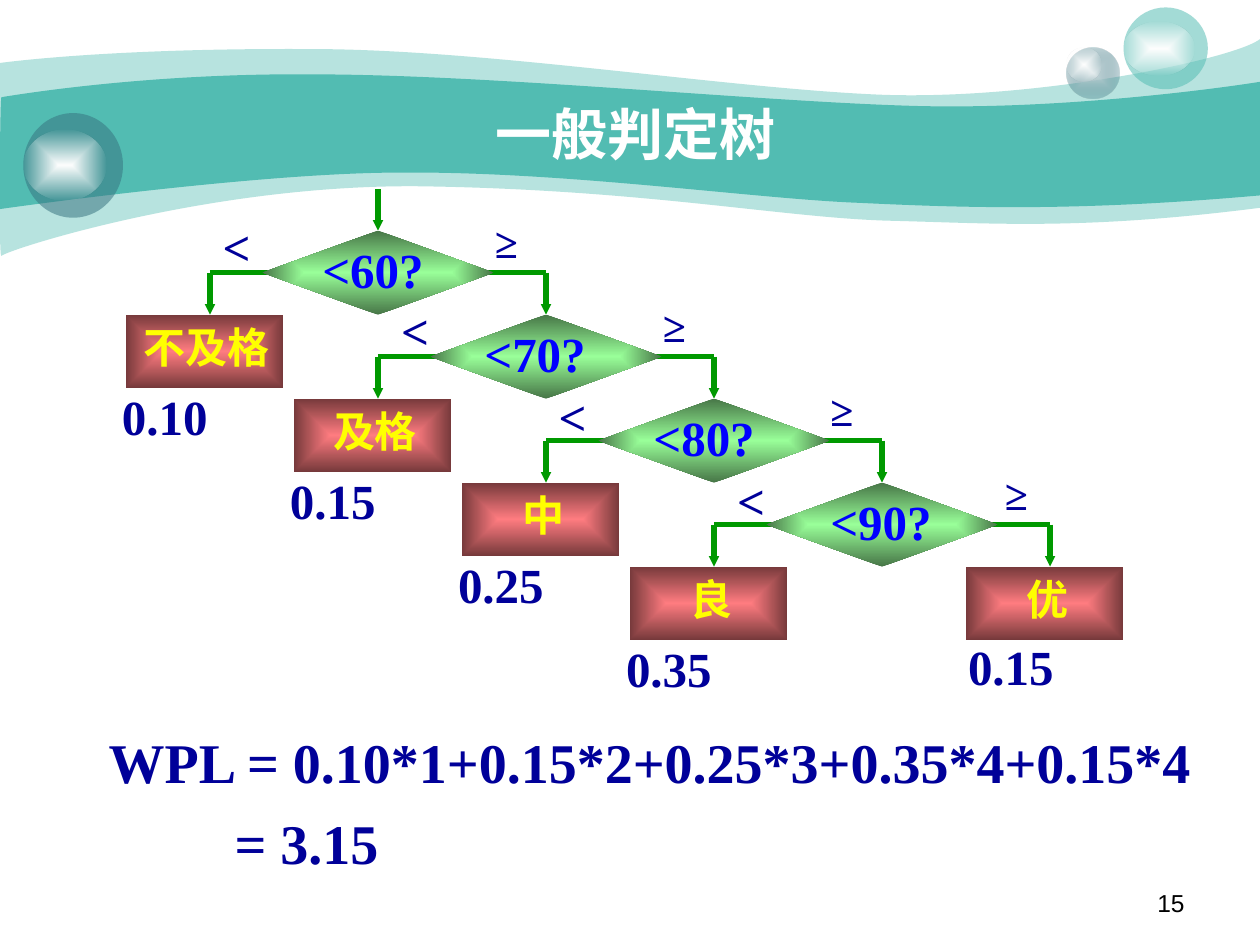
from lxml.etree import SubElement
from pptx import Presentation
from pptx.dml.color import RGBColor
from pptx.enum.shapes import MSO_CONNECTOR, MSO_SHAPE
from pptx.enum.text import MSO_ANCHOR, PP_ALIGN
from pptx.oxml.ns import qn
from pptx.util import Cm, Pt

WHITE = RGBColor(0xFF, 0xFF, 0xFF)
BLACK = RGBColor(0, 0, 0)
TEAL = RGBColor(0x52, 0xBC, 0xB2)
SLATE = RGBColor(0x37, 0x73, 0x7F)
MIST = RGBColor(0xCC, 0xDB, 0xDE)
NAVY = RGBColor(0, 0, 0x99)
BLUE = RGBColor(0, 0, 0xFF)
YELLOW = RGBColor(0xFF, 0xFF, 0)
ARROW_GREEN = RGBColor(0, 0x99, 0)
LIGHT_GREEN = RGBColor(0x99, 0xFF, 0x99)
DARK_GREEN = RGBColor(0x47, 0x76, 0x47)
LIGHT_RED = RGBColor(0xFF, 0x7C, 0x80)
DARK_RED = RGBColor(0x76, 0x39, 0x3B)
SERIF = "Times New Roman"

# Wave outlines in cm: a start, then curves (two controls and an end) or lines (an end)
LIGHT_WAVE = [(0, 1.27), [
    [(0.61, 1.19), (2.72, 0.97), (6.27, 0.99)],
    [(9.8, 0.99), (14.61, 1.78), (17.75, 1.91)],
    [(20.88, 2.03), (24.89, 1.19), (25.4, 0.79)],
    [(25.4, 4.19)],
    [(21.79, 4.65), (19.99, 4.5), (17.91, 4.45)],
    [(15.8, 4.39), (13.08, 3.84), (8.71, 3.76)],
    [(4.37, 3.66), (0.1, 5.05), (0.03, 5.16)],
    [(-0.03, 5.28), (0, 1.9), (0, 1.27)]]]
DARK_WAVE = [(0.03, 1.96), [
    [(0.05, 1.96), (2.79, 1.47), (6.3, 1.5)],
    [(9.8, 1.5), (15.11, 2.03), (18.24, 2.13)],
    [(21.36, 2.24), (24.79, 1.75), (25.4, 1.65)],
    [(25.4, 3.94)],
    [(21.67, 4.27), (19.43, 4.19), (17.32, 4.09)],
    [(15.21, 4.01), (11.38, 3.45), (8.05, 3.48)],
    [(5.16, 3.48), (-0.05, 4.22), (-0.03, 4.22)],
    [(0, 4.22), (0, 1.96), (0.03, 1.96)]]]

# Tree geometry in cm
ROOT_X, ROOT_Y = 7.62, 4.65
STEP_X, STEP_Y = 3.387, 1.693
DIAMOND_WIDTH = 4.66
LEAF_WIDTH, LEAF_HEIGHT = 3.18, 1.48
BRANCH_LENGTH = 1.27

# Question, its shift, offsets of "<" (x, y) and "≥" (x), grade on the "<" side, probability
DECISIONS = [
    ("<60?", -0.1, (-2.85, -0.42), 2.59, "不及格", "0.10"),
    ("<70?", -0.22, (-2.64, -0.42), 2.59, "及格", "0.15"),
    ("<80?", -0.2, (-2.85, -0.38), 2.58, "中", "0.25"),
    ("<90?", -0.02, (-2.64, -0.38), 2.71, "良", "0.35"),
]


def set_alpha(parent, percent):
    SubElement(parent, qn("a:alpha"), val=str(percent * 1000))


def fill_solid(shape, color, alpha=100):
    shape.fill.solid()
    shape.fill.fore_color.rgb = color
    if alpha < 100:
        set_alpha(shape.fill._xPr.find(qn("a:solidFill"))[0], alpha)


def fill_radial(shape, inner, outer, outer_alpha=100):
    """Rectangular gradient running from the centre to the edges."""
    shape.fill.gradient()
    gradient = shape.fill._xPr.find(qn("a:gradFill"))
    for child in list(gradient):
        gradient.remove(child)
    stops = SubElement(gradient, qn("a:gsLst"))
    for position, color, alpha in ((0, inner, 100), (100, outer, outer_alpha)):
        stop = SubElement(stops, qn("a:gs"), pos=str(position * 1000))
        set_alpha(SubElement(stop, qn("a:srgbClr"), val=str(color)), alpha)
    shade = SubElement(gradient, qn("a:path"), path="rect")
    SubElement(shade, qn("a:fillToRect"), l="50000", t="50000", r="50000", b="50000")


def format_paragraph(paragraph, size, color, name=SERIF, bold=True, align=PP_ALIGN.CENTER):
    paragraph.alignment = align
    font = paragraph.font
    font.size, font.bold, font.name = Pt(size), bold, name
    font.color.rgb = color


def add_plain_shape(slide, kind, left, top, width, height):
    shape = slide.shapes.add_shape(kind, Cm(left), Cm(top), Cm(width), Cm(height))
    shape.shadow.inherit = False
    shape.line.fill.background()
    return shape


def add_wave(slide, outline, color, alpha=100):
    start, segments = outline
    builder = slide.shapes.build_freeform(Cm(start[0]), Cm(start[1]))
    builder.add_line_segments([(Cm(x), Cm(y)) for x, y in (part[-1] for part in segments)])
    wave = builder.convert_to_shape()
    # Turn the sides that have control points into curves
    sides = list(wave._element.spPr.iter(qn("a:lnTo")))
    for side, segment in zip(sides, segments):
        if len(segment) == 3:
            curve = SubElement(side.getparent(), qn("a:cubicBezTo"))
            for x, y in segment:
                SubElement(curve, qn("a:pt"), x=str(Cm(x) - wave.left), y=str(Cm(y) - wave.top))
            side.getparent().replace(side, curve)
    wave.shadow.inherit = False
    wave.line.fill.background()
    fill_solid(wave, color, alpha)


def add_highlight(slide, *box):
    fill_radial(add_plain_shape(slide, MSO_SHAPE.OVAL, *box), WHITE, WHITE, 0)


def add_background(slide):
    add_wave(slide, LIGHT_WAVE, TEAL, 41)
    add_wave(slide, DARK_WAVE, TEAL)
    small = add_plain_shape(slide, MSO_SHAPE.OVAL, 21.5, 0.96, 1.07, 1.02)
    fill_radial(small, MIST, SLATE, 31)
    add_highlight(slide, 21.5, 0.96, 0.71, 0.69)
    fill_solid(add_plain_shape(slide, MSO_SHAPE.OVAL, 22.65, 0.15, 1.7, 1.65), TEAL, 53)
    add_highlight(slide, 22.65, 0.43, 1.42, 1.09)
    fill_solid(add_plain_shape(slide, MSO_SHAPE.OVAL, 0.47, 2.28, 2.01, 2.11), SLATE, 53)
    add_highlight(slide, 0.47, 2.62, 1.68, 1.42)


def add_label(slide, text, center, top, size, width=2.24, height=1.45):
    box = slide.shapes.add_textbox(Cm(center - width / 2), Cm(top), Cm(width), Cm(height))
    box.text_frame.word_wrap = False
    box.text_frame.vertical_anchor = MSO_ANCHOR.MIDDLE
    box.text_frame.text = text
    format_paragraph(box.text_frame.paragraphs[0], size, NAVY)


def add_node(slide, kind, box, colors, text, size, color, shift_x, shift_y):
    """Shape whose caption sits slightly off its centre."""
    shape = add_plain_shape(slide, kind, *box)
    fill_radial(shape, *colors)
    frame = shape.text_frame
    frame.word_wrap = False
    frame.vertical_anchor = MSO_ANCHOR.MIDDLE
    frame.margin_left, frame.margin_right = Cm(max(0, 2 * shift_x)), Cm(max(0, -2 * shift_x))
    frame.margin_top, frame.margin_bottom = 0, Cm(-2 * shift_y)
    frame.text = text
    format_paragraph(frame.paragraphs[0], size, color)
    return shape


def add_leaf(slide, grade, probability, arrow_x, top, label_x=-0.8, label_y=1.32):
    center = arrow_x - 0.11
    add_node(slide, MSO_SHAPE.RECTANGLE,
             (center - LEAF_WIDTH / 2, top, LEAF_WIDTH, LEAF_HEIGHT),
             (LIGHT_RED, DARK_RED), grade, 24, YELLOW, 0.05, -0.1)
    add_label(slide, probability, center + label_x, top + label_y, 28)


def add_line(slide, start_x, start_y, end_x, end_y, arrow=False):
    line = slide.shapes.add_connector(
        MSO_CONNECTOR.STRAIGHT, Cm(start_x), Cm(start_y), Cm(end_x), Cm(end_y))
    line.line.color.rgb = ARROW_GREEN
    line.line.width = Pt(3)
    if arrow:
        SubElement(line.line._get_or_add_ln(), qn("a:tailEnd"), type="triangle", w="sm", len="sm")
    SubElement(line._element.spPr, qn("a:effectLst"))
    return line


def add_tree(slide):
    incoming = add_line(slide, ROOT_X, ROOT_Y - 0.84, ROOT_X, ROOT_Y, arrow=True)
    for level, (question, shift, less, more_x, grade, probability) in enumerate(DECISIONS):
        center, top = ROOT_X + level * STEP_X, ROOT_Y + level * STEP_Y
        middle, bottom = top + STEP_Y / 2, top + STEP_Y
        entry = incoming
        # Branches: left to a grade, right to the next question
        for side in (-1, 1):
            corner = center + side * STEP_X
            add_line(slide, corner, middle, corner - side * BRANCH_LENGTH, middle)
            incoming = add_line(slide, corner, middle, corner, bottom, arrow=True)
        diamond = add_node(slide, MSO_SHAPE.FLOWCHART_DECISION,
                           (center - DIAMOND_WIDTH / 2, top, DIAMOND_WIDTH, STEP_Y),
                           (LIGHT_GREEN, DARK_GREEN), question, 28, BLUE, shift, -0.07)
        entry.end_connect(diamond, 0)
        add_label(slide, "<", center + less[0], top + less[1], 28, width=1.07)
        add_label(slide, "≥", center + more_x, top - 0.41, 24, width=0.97, height=1.27)
        add_leaf(slide, grade, probability, center - STEP_X, bottom)
    add_leaf(slide, "优", "0.15", corner, bottom, -0.68, 1.28)


def add_formula(slide):
    box = slide.shapes.add_textbox(Cm(1.94), Cm(14.53), Cm(22.4), Cm(3.25))
    frame = box.text_frame
    frame.word_wrap = False
    frame.vertical_anchor = MSO_ANCHOR.MIDDLE
    frame.text = "WPL = 0.10*1+0.15*2+0.25*3+0.35*4+0.15*4\n= 3.15"
    for paragraph in frame.paragraphs:
        format_paragraph(paragraph, 32, NAVY, align=PP_ALIGN.LEFT)
    result = frame.paragraphs[1]
    result.space_before = Pt(8)
    result._p.get_or_add_pPr().set("marL", str(Cm(2.54)))


def add_title(slide):
    title = slide.shapes.title
    title.left, title.top, title.width, title.height = Cm(2.56), Cm(1.9), Cm(20.52), Cm(1.58)
    title.text_frame.text = "一般判定树"
    title.text_frame.vertical_anchor = MSO_ANCHOR.MIDDLE
    format_paragraph(title.text_frame.paragraphs[0], 32, WHITE, "Noto Sans CJK SC")
    slide.shapes._spTree.append(title._element)  # in front of the waves


def add_page_number(slide):
    box = slide.shapes.add_textbox(Cm(18.21), Cm(17.78), Cm(5.92), Cm(0.89))
    box.text_frame.word_wrap = True
    box.text_frame.text = "15"
    format_paragraph(box.text_frame.paragraphs[0], 14, BLACK, "Arial", False, PP_ALIGN.RIGHT)


def main():
    presentation = Presentation()
    presentation.slide_width, presentation.slide_height = Cm(25.4), Cm(19.05)
    slide = presentation.slides.add_slide(presentation.slide_layouts[5])
    add_background(slide)
    add_title(slide)
    add_tree(slide)
    add_formula(slide)
    add_page_number(slide)
    presentation.save("out.pptx")


if __name__ == "__main__":
    main()
